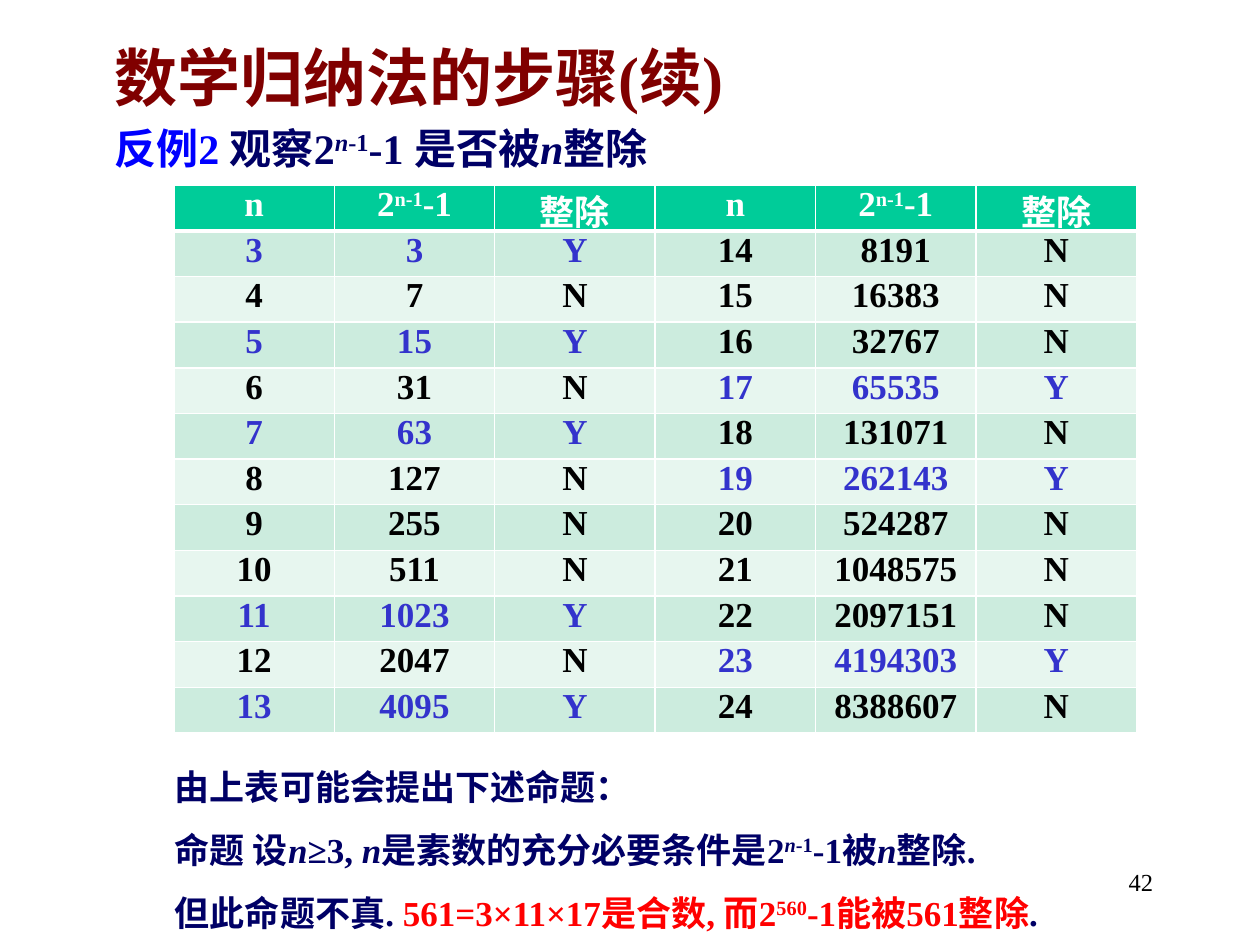
from dataclasses import dataclass

from lxml.etree import SubElement
from pptx import Presentation
from pptx.dml.color import RGBColor as Color
from pptx.enum.text import MSO_ANCHOR as Anchor, PP_ALIGN as Align
from pptx.oxml.ns import qn
from pptx.util import Inches, Pt

COLUMNS, ROWS = 100, 75
DECK_WIDTH, DECK_HEIGHT = Inches(10), Inches(7.5)


@dataclass(frozen=True)
class Theme:
    font: str = "Times New Roman"
    title: str = "800000"
    label: str = "0000FF"
    body: str = "000066"
    warning: str = "FF0000"
    black: str = "000000"
    white: str = "FFFFFF"
    header: str = "00CC99"
    bands: tuple = ("CCECDE", "E7F6EF")
    divisible: str = "3333CC"
    title_size: int = 36
    subtitle_size: int = 24
    body_size: int = 20
    number_size: int = 14


THEME = Theme()


def grid_box(column, row, columns, rows):
    across, down = DECK_WIDTH / COLUMNS, DECK_HEIGHT / ROWS
    return tuple(int(length) for length in
                 (column * across, row * down, columns * across, rows * down))


def format_span(span, size, color, bold=True, italic=False, raised=False):
    font = span.font
    font.name, font.size, font.bold, font.italic = THEME.font, Pt(size), bold, italic
    font.color.rgb = Color.from_string(color)
    if raised:
        span._r.get_or_add_rPr().set("baseline", "30000")


def write_spans(para, spans, size, color):
    for text, style, *own_color in spans:
        span = para.add_run()
        span.text = text
        format_span(span, size, own_color[0] if own_color else color,
                    italic="i" in style, raised="^" in style)


def hang_indent(para):
    properties = para._p.get_or_add_pPr()
    properties.set("marL", str(Inches(0.38)))
    properties.set("indent", str(-Inches(0.38)))


def add_frame(page, box):
    frame = page.shapes.add_textbox(*box).text_frame
    frame.word_wrap = True
    return frame


def add_title(page, box):
    title = page.shapes.title
    title.left, title.top, title.width, title.height = box
    frame = title.text_frame
    frame.text = "数学归纳法的步骤(续)"
    frame.vertical_anchor = Anchor.MIDDLE
    para = frame.paragraphs[0]
    para.alignment = Align.LEFT
    format_span(para.runs[0], THEME.title_size, THEME.title)


def add_subtitle(page, box):
    para = add_frame(page, box).paragraphs[0]
    hang_indent(para)
    para.space_before = Pt(5)
    write_spans(para, [
        ("反例2 ", "", THEME.label), ("观察2", ""), ("n", "i^"), ("-1", "^"),
        ("-1 是否被", ""), ("n", "i"), ("整除", ""),
    ], THEME.subtitle_size, THEME.body)


def set_borders(cell, top, bottom):
    properties = cell._tc.get_or_add_tcPr()
    for index, (side, width) in enumerate(
            (("lnL", 1), ("lnR", 1), ("lnT", top), ("lnB", bottom))):
        line = SubElement(properties, qn(f"a:{side}"), w=str(Pt(width)))
        fill = SubElement(line, qn("a:solidFill"))
        SubElement(fill, qn("a:srgbClr"), val=THEME.white)
        properties.insert(index, line)


def fill_cell(cell, spans, color, fill, top, bottom):
    cell.margin_left = cell.margin_right = Inches(0.07)
    cell.margin_top = cell.margin_bottom = 0
    cell.fill.solid()
    cell.fill.fore_color.rgb = Color.from_string(fill)
    set_borders(cell, top, bottom)
    para = cell.text_frame.paragraphs[0]
    para.alignment = Align.CENTER
    write_spans(para, spans, THEME.body_size, color)


def add_divisibility_table(page, box):
    groups = (range(3, 14), range(14, 25))
    row_count, column_count = len(groups[0]) + 1, 3 * len(groups)
    table = page.shapes.add_table(row_count, column_count, *box).table
    for column in table.columns:
        column.width = box[2] // column_count
    for row in table.rows:
        row.height = box[3] // row_count

    headings = ([("n", "")], [("2", ""), ("n-1", "^"), ("-1", "")], [("整除", "")])
    for group, numbers in enumerate(groups):
        first = 3 * group
        for offset, spans in enumerate(headings):
            fill_cell(table.cell(0, first + offset), spans,
                      THEME.white, THEME.header, 1, 3)
        for row, number in enumerate(numbers, 1):
            value = 2 ** (number - 1) - 1
            divides = value % number == 0
            color = THEME.divisible if divides else THEME.black
            for offset, entry in enumerate((number, value, "Y" if divides else "N")):
                fill_cell(table.cell(row, first + offset), [(str(entry), "")], color,
                          THEME.bands[(row - 1) % 2], 3 if row == 1 else 1, 1)


def add_conclusion(page, box):
    frame = add_frame(page, box)
    lines = [
        [("由上表可能会提出下述命题：", "")],
        [("命题 设", ""), ("n", "i"), ("≥3, ", ""), ("n", "i"),
         ("是素数的充分必要条件是2", ""), ("n", "i^"), ("-1", "^"),
         ("-1被", ""), ("n", "i"), ("整除.", "")],
        [("但此命题不真.", ""), (" 561=3×11×17是合数, 而2", "", THEME.warning),
         ("560", "^", THEME.warning), ("-1能被561整除", "", THEME.warning), (".", "")],
    ]
    for index, spans in enumerate(lines):
        para = frame.add_paragraph() if index else frame.paragraphs[0]
        hang_indent(para)
        para.line_spacing = 1.5
        write_spans(para, spans, THEME.body_size, THEME.body)


def add_page_number(page, box):
    para = add_frame(page, box).paragraphs[0]
    para.text = "42"
    para.alignment = Align.RIGHT
    format_span(para.runs[0], THEME.number_size, THEME.black, bold=False)


def main():
    deck = Presentation()
    deck.slide_width, deck.slide_height = DECK_WIDTH, DECK_HEIGHT
    page = deck.slides.add_slide(deck.slide_layouts[5])
    add_page_number(page, grid_box(71.7, 68.3, 20.8, 5))
    add_title(page, grid_box(8.1, -0.2, 85, 12.5))
    add_subtitle(page, grid_box(8.1, 9.2, 85, 5))
    add_conclusion(page, grid_box(12.9, 58.6, 87, 16.4))
    add_divisibility_table(page, grid_box(13.8, 14.7, 76.4, 43.5))
    deck.save("out.pptx")


if __name__ == "__main__":
    main()
